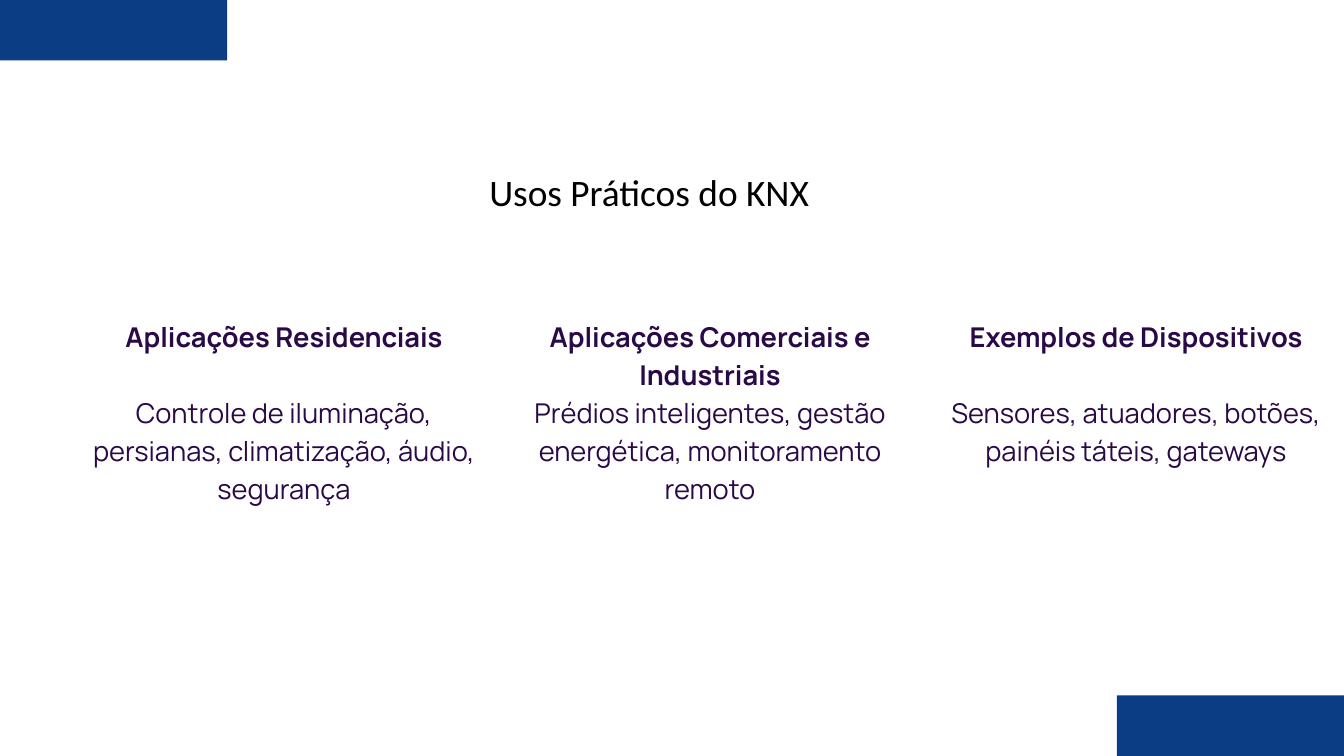
from pptx import Presentation
from pptx.dml.color import RGBColor
from pptx.enum.shapes import MSO_SHAPE
from pptx.enum.text import MSO_ANCHOR, MSO_AUTO_SIZE, PP_ALIGN
from pptx.util import Inches, Pt

RECTANGLE = MSO_SHAPE.RECTANGLE
CENTER = PP_ALIGN.CENTER
TOP = MSO_ANCHOR.TOP
NO_AUTOFIT = MSO_AUTO_SIZE.NONE

BLUE = RGBColor(0x0A, 0x3D, 0x84)
PURPLE = RGBColor(0x2A, 0x09, 0x47)
BLACK = RGBColor(0, 0, 0)

SLIDE_W, SLIDE_H = 20, 11.25
CORNER_W, CORNER_H = 3.38, 0.9
FIRST_COLUMN, COLUMN_PITCH, COLUMN_W = 1.13, 6.34, 6.19
COLUMN_TOP, COLUMN_H = 4.68, 2.81
COLUMN_LINE = Pt(40.9)
TITLE_BOX = (6.31, 2.41, 6.7, 0.74)

# heading, number of lines the heading fills, details
USES = [
    ("Aplicações Residenciais", 1,
     "Controle de iluminação, persianas, climatização, áudio, segurança"),
    ("Aplicações Comerciais e Industriais", 2,
     "Prédios inteligentes, gestão energética, monitoramento remoto"),
    ("Exemplos de Dispositivos", 1,
     "Sensores, atuadores, botões, painéis táteis, gateways"),
]
HEADING_LINES = max(lines for _, lines, _ in USES)


def set_frame(frame):
    settings = dict(margin_left=0, margin_top=0, margin_right=0, margin_bottom=0,
                    word_wrap=True, auto_size=NO_AUTOFIT, vertical_anchor=TOP)
    for name, value in settings.items():
        setattr(frame, name, value)


def write(paragraph, text, line_spacing, color, **font):
    paragraph.text = text
    paragraph.alignment = CENTER
    paragraph.line_spacing = line_spacing
    run_font = paragraph.runs[0].font
    run_font.color.rgb = color
    for name, value in font.items():
        setattr(run_font, name, value)


def add_title(slide, box):
    title = slide.shapes.title
    title.left, title.top, title.width, title.height = map(Inches, box)
    set_frame(title.text_frame)
    write(title.text_frame.paragraphs[0], "Usos Práticos do KNX", Pt(56), BLACK,
          name="Calibri", size=Pt(40), bold=False)


def add_corner(slide, left, top):
    corner = slide.shapes.add_shape(
        RECTANGLE, *map(Inches, (left, top, CORNER_W, CORNER_H)))
    corner.shadow.inherit = False
    corner.fill.solid()
    corner.fill.fore_color.rgb = BLUE
    corner.line.fill.background()


def add_use(slide, box, heading, lines, details):
    """Place a heading with its details, which start on the same row in every column."""
    frame = slide.shapes.add_textbox(*map(Inches, box)).text_frame
    set_frame(frame)
    style = dict(name="Manrope", size=Pt(29.2))
    write(frame.paragraphs[0], heading, COLUMN_LINE, PURPLE, bold=True, **style)
    body = frame.add_paragraph()
    write(body, details, COLUMN_LINE, PURPLE, bold=False, **style)
    body.space_before = (HEADING_LINES - lines) * COLUMN_LINE


def main():
    presentation = Presentation()
    presentation.slide_width = Inches(SLIDE_W)
    presentation.slide_height = Inches(SLIDE_H)
    slide = presentation.slides.add_slide(presentation.slide_layouts[5])

    add_corner(slide, 0, 0)
    add_corner(slide, SLIDE_W - CORNER_W, SLIDE_H - CORNER_H)
    add_title(slide, TITLE_BOX)
    for column, use in enumerate(USES):
        left = FIRST_COLUMN + column * COLUMN_PITCH
        add_use(slide, (left, COLUMN_TOP, COLUMN_W, COLUMN_H), *use)

    presentation.save("out.pptx")


if __name__ == "__main__":
    main()
